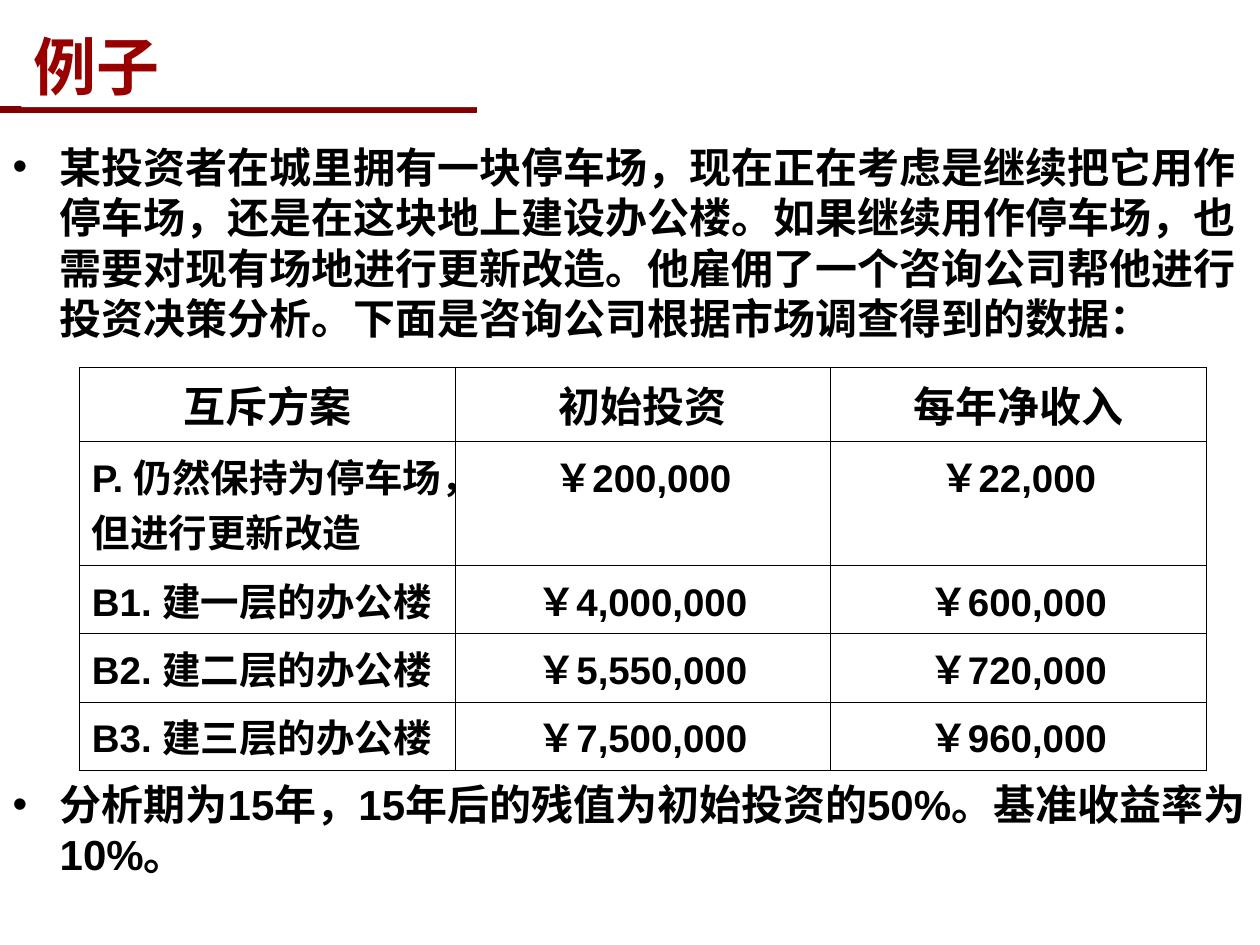
from lxml import etree
from pptx import Presentation
from pptx.dml.color import RGBColor
from pptx.enum.shapes import MSO_SHAPE
from pptx.enum.text import MSO_ANCHOR, MSO_AUTO_SIZE, PP_ALIGN
from pptx.oxml.ns import qn
from pptx.util import Cm, Pt

RECT = MSO_SHAPE.RECTANGLE
TOP, MIDDLE = MSO_ANCHOR.TOP, MSO_ANCHOR.MIDDLE
NO_FIT = MSO_AUTO_SIZE.NONE
LEFT, CENTER = PP_ALIGN.LEFT, PP_ALIGN.CENTER

BLACK = RGBColor(0, 0, 0)
WHITE = RGBColor(255, 255, 255)
MAROON = RGBColor(0x80, 0, 0)
RED = RGBColor(0x99, 0, 0)

TITLE = "例子"
INTRO = ("某投资者在城里拥有一块停车场，现在正在考虑是继续把它用作停车场，"
         "还是在这块地上建设办公楼。如果继续用作停车场，也需要对现有场地进行更新改造。"
         "他雇佣了一个咨询公司帮他进行投资决策分析。"
         "下面是咨询公司根据市场调查得到的数据：")
TERMS = "分析期为15年，15年后的残值为初始投资的50%。基准收益率为10%。"
PLANS = [
    ("互斥方案", "初始投资", "每年净收入"),
    ("P. 仍然保持为停车场，但进行更新改造", "￥200,000", "￥22,000"),
    ("B1. 建一层的办公楼", "￥4,000,000", "￥600,000"),
    ("B2. 建二层的办公楼", "￥5,550,000", "￥720,000"),
    ("B3. 建三层的办公楼", "￥7,500,000", "￥960,000"),
]
HEIGHTS = [1.49, 2.5, 1.37, 1.37, 1.37]
COL = 7.57


def style(target, **values):
    for name, value in values.items():
        setattr(target, name, value)


def write(para, text, size, color=BLACK, **layout):
    run = para.add_run()
    run.text = text
    style(para, **layout)
    style(run.font, name="Arial", size=Pt(size), bold=True)
    run.font.color.rgb = color


def place(holder, box, anchor):
    """Move a placeholder, paint it white and return its text frame."""
    style(holder, **dict(zip(("left", "top", "width", "height"), map(Cm, box))))
    holder.fill.solid()
    holder.fill.fore_color.rgb = WHITE
    frame = holder.text_frame
    style(frame, word_wrap=True, auto_size=NO_FIT, vertical_anchor=anchor)
    return frame


def add_bar(slide):
    bar = slide.shapes.add_shape(RECT, Cm(-0.03), Cm(2.15), Cm(9.63), Cm(0.12))
    bar.shadow.inherit = False
    bar.fill.solid()
    bar.fill.fore_color.rgb = MAROON
    bar.line.color.rgb = MAROON
    bar.line.width = Pt(0.75)
    slide.shapes.title._element.addprevious(bar._element)


def add_bullet(para, text, before):
    props = para._p.get_or_add_pPr()
    props.set("marL", str(Cm(0.95)))
    props.set("indent", str(-Cm(0.95)))
    etree.SubElement(props, qn("a:buChar")).set("char", "•")
    write(para, text, 24, alignment=LEFT, line_spacing=1.0,
          space_before=Pt(before))


def add_border(cell):
    props = cell._tc.get_or_add_tcPr()
    for index, side in enumerate(("lnL", "lnR", "lnT", "lnB")):
        line = etree.Element(qn("a:" + side), w=str(Pt(0.45)))
        fill = etree.SubElement(line, qn("a:solidFill"))
        etree.SubElement(fill, qn("a:srgbClr")).set("val", str(BLACK))
        props.insert(index, line)


def add_plans(slide):
    table = slide.shapes.add_table(
        len(PLANS), 3, Cm(1.6), Cm(7.41), Cm(3 * COL), Cm(sum(HEIGHTS))).table
    style(table, first_row=False, horz_banding=False)
    for col in table.columns:
        col.width = Cm(COL)
    for r, texts in enumerate(PLANS):
        table.rows[r].height = Cm(HEIGHTS[r])
        for c, text in enumerate(texts):
            cell = table.cell(r, c)
            cell.fill.background()
            add_border(cell)
            write(cell.text_frame.paragraphs[0], text, 22 if r else 24,
                  alignment=LEFT if r and not c else CENTER)


def main():
    deck = Presentation()
    style(deck, slide_width=Cm(25.4), slide_height=Cm(19.05))
    slide = deck.slides.add_slide(deck.slide_layouts[1])
    add_bar(slide)
    title = place(slide.shapes.title, (0.43, 0.46, 22.7, 1.7), MIDDLE)
    write(title.paragraphs[0], TITLE, 36, RED, alignment=LEFT)
    body = place(slide.placeholders[1], (0, 2.72, 25.4, 15.65), TOP)
    add_bullet(body.paragraphs[0], INTRO, 0)
    add_bullet(body.add_paragraph(), TERMS, 249)
    add_plans(slide)
    deck.save("out.pptx")


if __name__ == "__main__":
    main()
